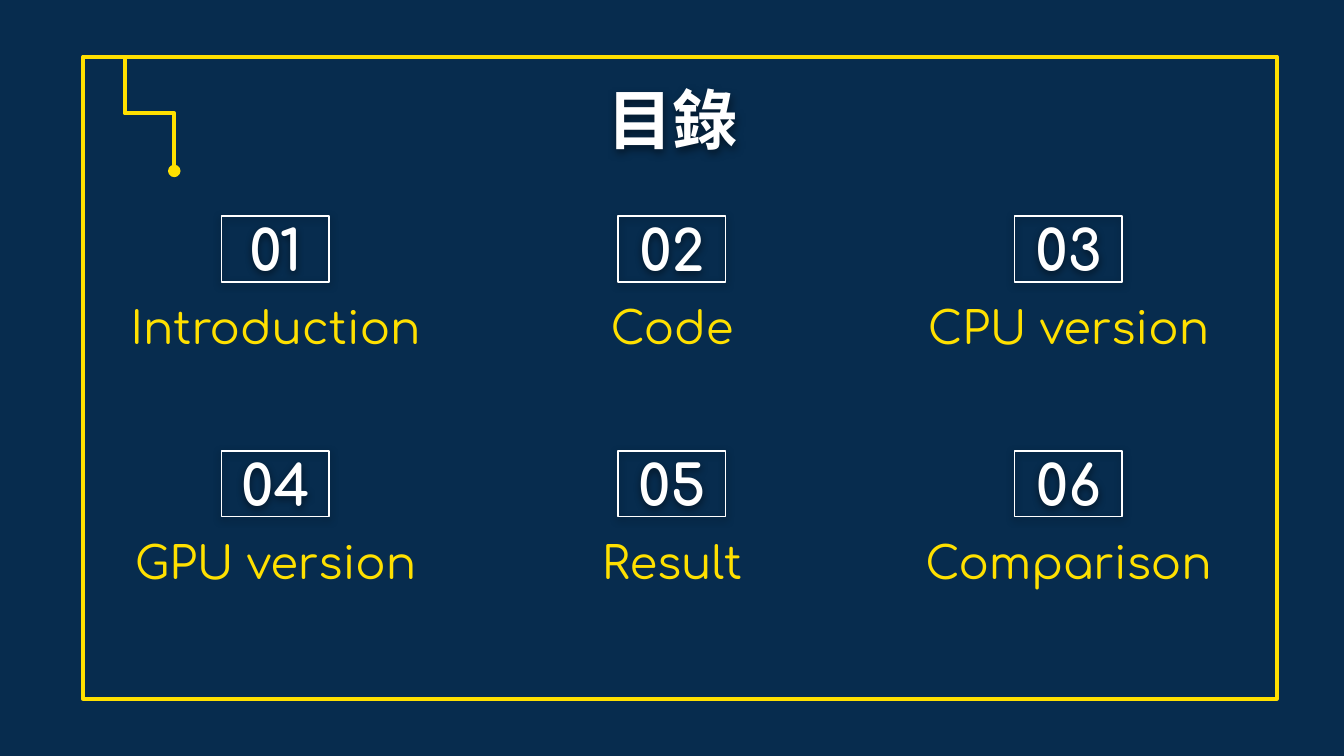
import pptx
import pptx.dml.color
import pptx.enum.shapes
import pptx.enum.text
import pptx.oxml
import pptx.oxml.ns
import pptx.util

Pt = pptx.util.Pt
RGBColor = pptx.dml.color.RGBColor
Anchor = pptx.enum.text.MSO_ANCHOR

NAVY = RGBColor(0x07, 0x2C, 0x4E)
YELLOW = RGBColor(0xFF, 0xE0, 0x00)
WHITE = RGBColor(0xFF, 0xFF, 0xFF)
FONT = "Comfortaa"

TOPICS = ["Introduction", "Code", "CPU version",
          "GPU version", "Result", "Comparison"]
COLUMNS = 3
COLUMN_GAP, ROW_GAP = 212.4, 125.8
FIRST_CENTER, FIRST_TOP = 147.6, 115.8
NUMBER_WIDTH, NUMBER_HEIGHT = 57.6, 35.3
LABEL_WIDTH, LABEL_HEIGHT = 181.4, 38.2
LABEL_OFFSET = 42.6


def drawing_xml(content):
    return pptx.oxml.parse_xml(
        content.replace(">", f" {pptx.oxml.ns.nsdecls('a')}>", 1))


def add_shadow(shape):
    shape._element.spPr.append(drawing_xml(
        '<a:effectLst><a:outerShdw blurRad="57150" dist="19050" dir="5400000"'
        ' algn="bl" rotWithShape="0"><a:srgbClr val="000000">'
        '<a:alpha val="50000"/></a:srgbClr></a:outerShdw></a:effectLst>'))


def add_rectangle(slide, left, top, width, height, color, weight):
    shape = slide.shapes.add_shape(
        pptx.enum.shapes.MSO_SHAPE.RECTANGLE,
        Pt(left), Pt(top), Pt(width), Pt(height))
    shape.shadow.inherit = False
    shape.fill.background()
    shape.line.color.rgb = color
    shape.line.width = Pt(weight)
    return shape


def write_text(shape, text, size, color, anchor, bold=False):
    text_frame = shape.text_frame
    text_frame.text = text
    text_frame.word_wrap = True
    text_frame.vertical_anchor = anchor
    text_frame.margin_left = text_frame.margin_right = Pt(7.2)
    text_frame.margin_top = text_frame.margin_bottom = Pt(7.2)
    paragraph = text_frame.paragraphs[0]
    paragraph.alignment = pptx.enum.text.PP_ALIGN.CENTER
    font = paragraph.runs[0].font
    font.name = FONT
    font.size = Pt(size)
    font.bold = bold
    font.color.rgb = color
    return paragraph


def add_text_box(slide, left, top, width, height):
    return slide.shapes.add_textbox(
        Pt(left), Pt(top), Pt(width), Pt(height))


def add_title(slide, text):
    title = add_text_box(slide, 56.9, 35.3, 607, 45.4)
    write_text(title, text, 35, WHITE, Anchor.TOP, bold=True)
    add_shadow(title)


def add_number(slide, center, top, text):
    number = add_rectangle(slide, center - NUMBER_WIDTH / 2, top,
                           NUMBER_WIDTH, NUMBER_HEIGHT, WHITE, 0.75)
    # The shadow replaces the empty effect list
    effects = number._element.spPr.find(pptx.oxml.ns.qn("a:effectLst"))
    number._element.spPr.remove(effects)
    add_shadow(number)
    write_text(number, text, 30, WHITE, Anchor.MIDDLE, bold=True)


def add_label(slide, center, top, text):
    label = add_text_box(slide, center - LABEL_WIDTH / 2, top,
                         LABEL_WIDTH, LABEL_HEIGHT)
    paragraph = write_text(label, text, 24, YELLOW, Anchor.BOTTOM)
    paragraph.line_spacing = 1.15


def add_corner_connector(slide):
    # Drawn sideways, then turned a quarter so that it leaves vertically
    connector = slide.shapes.add_connector(
        pptx.enum.shapes.MSO_CONNECTOR.ELBOW,
        Pt(111), Pt(47.4), Pt(49.2), Pt(74))
    properties = connector._element.spPr
    properties.xfrm.set("rot", "5400000")
    connector.line.color.rgb = YELLOW
    connector.line.width = Pt(2.25)
    properties.find(pptx.oxml.ns.qn("a:ln")).append(
        drawing_xml('<a:headEnd type="oval" w="med" len="med"></a:headEnd>'))
    properties.append(drawing_xml("<a:effectLst></a:effectLst>"))


def main():
    presentation = pptx.Presentation()
    presentation.slide_width = Pt(720)
    presentation.slide_height = Pt(405)
    slide = presentation.slides.add_slide(presentation.slide_layouts[6])
    slide.background.fill.solid()
    slide.background.fill.fore_color.rgb = NAVY

    # Frame and title
    frame = add_rectangle(slide, 44.6, 30.4, 639.4, 344, YELLOW, 2.25)
    frame.fill.solid()
    frame.fill.fore_color.rgb = NAVY
    add_title(slide, "目錄")

    # Numbered topics
    for index, topic in enumerate(TOPICS):
        row, column = divmod(index, COLUMNS)
        center = FIRST_CENTER + column * COLUMN_GAP
        top = FIRST_TOP + row * ROW_GAP
        add_number(slide, center, top, f"{index + 1:02d}")
        add_label(slide, center, top + LABEL_OFFSET, topic)

    # Corner ornament
    add_corner_connector(slide)

    presentation.save("out.pptx")


if __name__ == "__main__":
    main()
